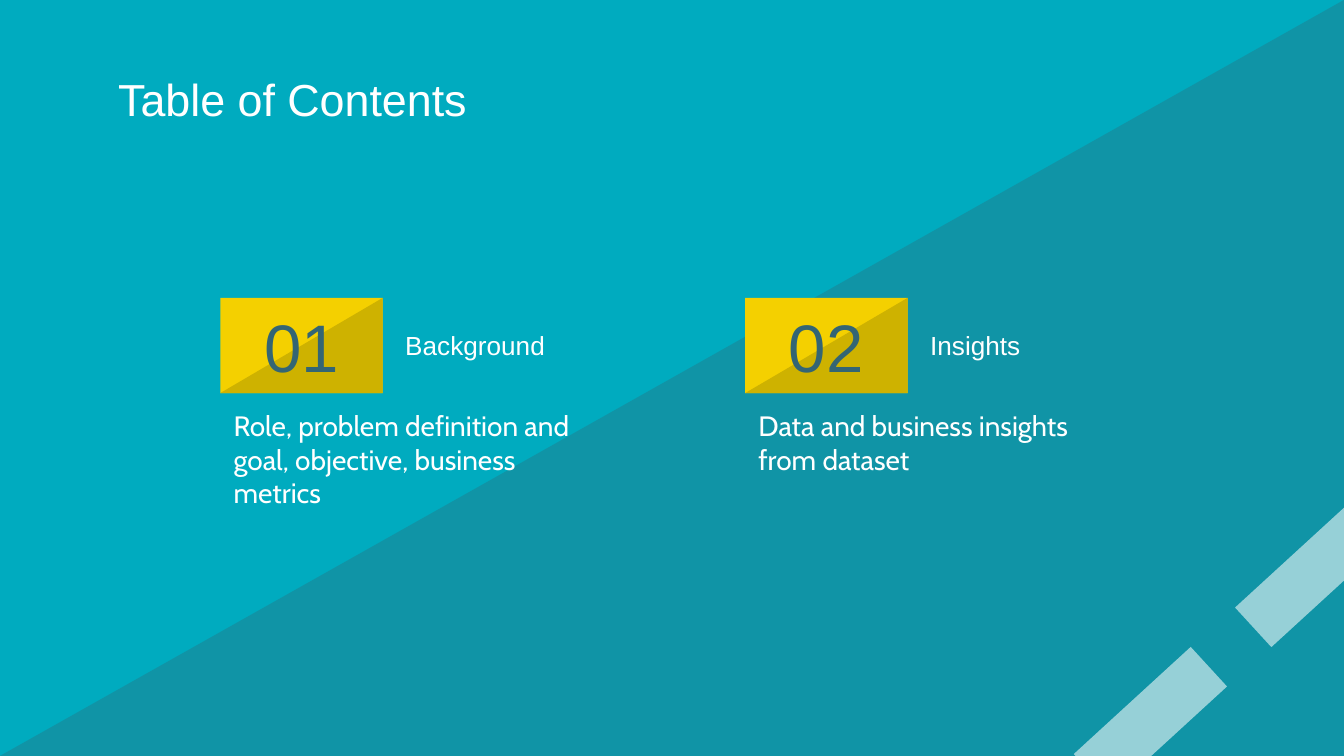
import pptx
import pptx.dml.color
import pptx.enum.shapes
import pptx.enum.text
import pptx.oxml.ns
import pptx.util
import lxml.etree

Pt = pptx.util.Pt
SHAPE = pptx.enum.shapes.MSO_SHAPE
ANCHOR = pptx.enum.text.MSO_ANCHOR
ALIGN = pptx.enum.text.PP_ALIGN
WHITE, TEAL, SLATE = "FFFFFF", "00ABBF", "336574"
GOLD, SHADE = "F4D000", "CEB200"
WIDTH, HEIGHT = 720, 405


def paint(fill, color, alpha=100):
    fill.solid()
    fill.fore_color.rgb = pptx.dml.color.RGBColor.from_string(color)
    if alpha < 100:
        tag = pptx.oxml.ns.qn("a:alpha")
        for node in fill._xPr.iter(pptx.oxml.ns.qn("a:srgbClr")):
            lxml.etree.SubElement(node, tag, val=str(alpha * 1000))


def add_block(slide, kind, box, color, alpha=100, turn=0):
    shape = slide.shapes.add_shape(kind, *map(Pt, box))
    shape.shadow.inherit = False
    shape.rotation = turn
    shape.line.fill.background()
    paint(shape.fill, color, alpha)
    return shape


def add_wedge(slide, box, color, alpha=100):
    wedge = add_block(slide, SHAPE.RIGHT_TRIANGLE, box, color, alpha)
    wedge._element.spPr.find(pptx.oxml.ns.qn("a:xfrm")).set("flipH", "1")


def add_text(slide, box, text, size, font="Arial", color=WHITE,
             anchor=ANCHOR.MIDDLE, align=ALIGN.LEFT):
    frame = slide.shapes.add_textbox(*map(Pt, box)).text_frame
    inset = Pt(7.2)
    form = {"word_wrap": True, "vertical_anchor": anchor,
            "margin_left": inset, "margin_right": inset,
            "margin_top": inset, "margin_bottom": inset}
    for name, value in form.items():
        setattr(frame, name, value)
    para = frame.paragraphs[0]
    para.alignment = align
    run = para.add_run()
    run.text = text
    for name, value in {"size": Pt(size), "name": font}.items():
        setattr(run.font, name, value)
    run.font.color.rgb = pptx.dml.color.RGBColor.from_string(color)


def add_topic(slide, left, top, label, head, body):
    badge = (left, top, 87, 51)
    add_block(slide, SHAPE.RECTANGLE, badge, GOLD)
    add_wedge(slide, badge, SHADE)
    add_text(slide, badge, label, 36, color=SLATE, align=ALIGN.CENTER)
    add_text(slide, (left + 92, top, 126, 51), head, 14)
    add_text(slide, (left, top + 52, 204, 51), body, 15,
             font="Cabin", anchor=ANCHOR.TOP)


def main():
    deck = pptx.Presentation()
    deck.slide_width, deck.slide_height = Pt(WIDTH), Pt(HEIGHT)
    slide = deck.slides.add_slide(deck.slide_layouts[6])
    paint(slide.background.fill, TEAL)
    add_wedge(slide, (0, 0, WIDTH, HEIGHT), SLATE, 32)
    for left, top in [(573.8, 371.5), (660.2, 293)]:
        add_block(slide, SHAPE.RECTANGLE, (left, top, 85, 28.8),
                  WHITE, 56, 317.5)
    add_text(slide, (56.2, 30.2, 607.7, 45.4), "Table of Contents", 24)
    topics = [
        ("Background",
         "Role, problem definition and goal, objective, business metrics"),
        ("Insights", "Data and business insights from dataset"),
    ]
    for index, (head, body) in enumerate(topics):
        add_topic(slide, 118 + index * 281.2, 159.6,
                  f"{index + 1:02}", head, body)
    deck.save("out.pptx")


if __name__ == "__main__":
    main()
